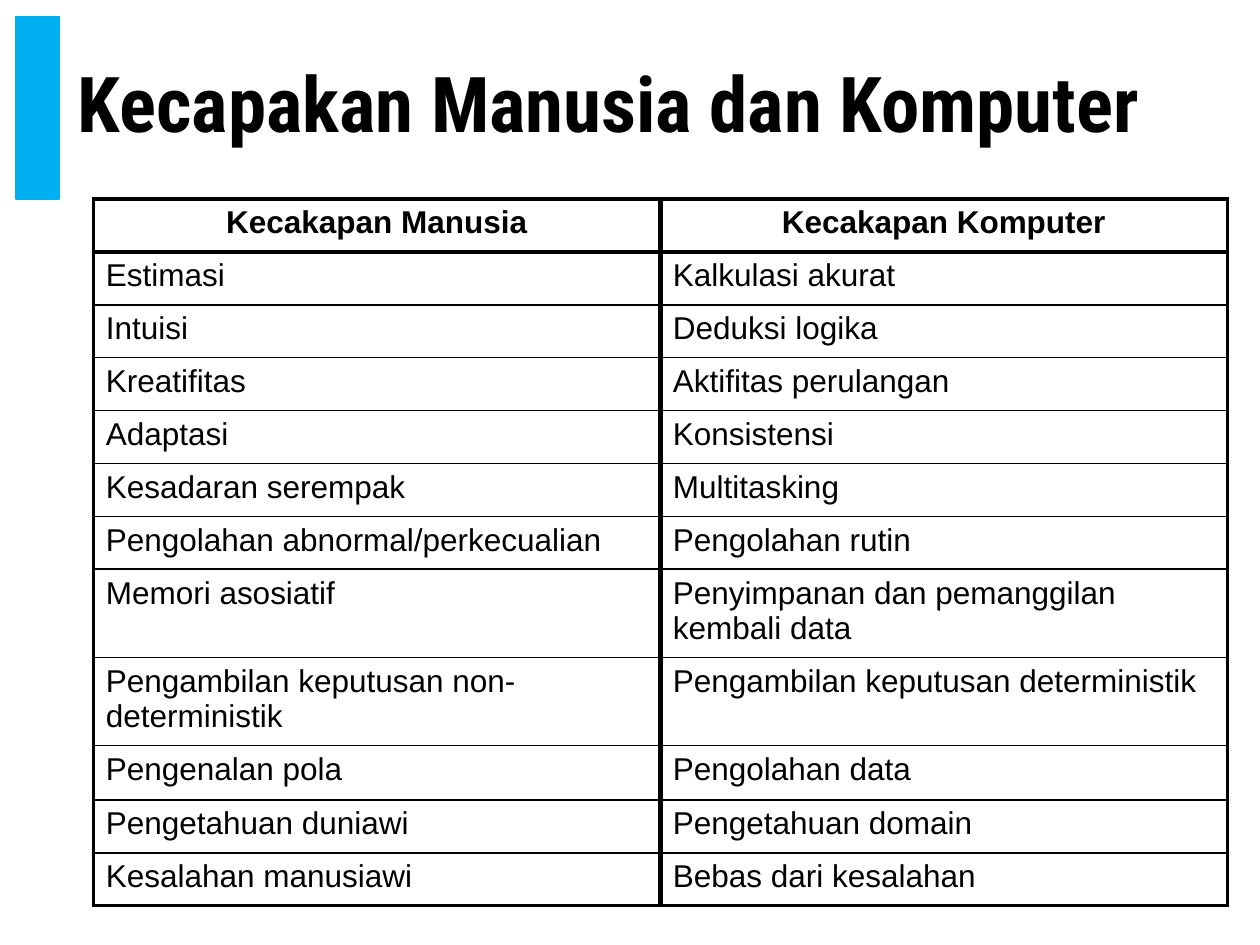
from lxml.etree import SubElement
from pptx import Presentation
from pptx.dml.color import RGBColor
from pptx.enum.shapes import MSO_SHAPE as Shape
from pptx.enum.text import MSO_ANCHOR as Anchor, PP_ALIGN as Align
from pptx.oxml.ns import qn
from pptx.util import Inches, Pt

COLORS = {"ink": "000000", "accent": "00B0F0"}
TITLE = {"name": "Roboto Condensed", "size": Pt(44), "bold": True}
HEADING = {"name": "Arial", "size": Pt(18), "bold": True}
BODY = {**HEADING, "bold": False}
OUTER, INNER, THIN = 2.25, 3, 1

SKILLS = [
    ("Kecakapan Manusia", "Kecakapan Komputer"),
    ("Estimasi", "Kalkulasi akurat"),
    ("Intuisi", "Deduksi logika"),
    ("Kreatifitas", "Aktifitas perulangan"),
    ("Adaptasi", "Konsistensi"),
    ("Kesadaran serempak", "Multitasking"),
    ("Pengolahan abnormal/perkecualian", "Pengolahan rutin"),
    ("Memori asosiatif", "Penyimpanan dan pemanggilan kembali data"),
    ("Pengambilan keputusan non-deterministik", "Pengambilan keputusan deterministik"),
    ("Pengenalan pola", "Pengolahan data"),
    ("Pengetahuan duniawi", "Pengetahuan domain"),
    ("Kesalahan manusiawi", "Bebas dari kesalahan"),
]
ROW_HEIGHTS = [0.42] * 7 + [0.7] * 2 + [0.43] + [0.42] * 2


class SlideBuilder:
    """Holds the colours and the current slide, and adds each kind of element."""

    def __init__(self, slide, colors):
        self.slide = slide
        self.colors = {key: RGBColor.from_string(value) for key, value in colors.items()}

    def add_text(self, paragraph, text, style):
        run = paragraph.add_run()
        run.text = text
        for attribute, value in style.items():
            setattr(run.font, attribute, value)
        run.font.color.rgb = self.colors["ink"]

    def bar(self, *box):
        accent = self.slide.shapes.add_shape(Shape.RECTANGLE, *map(Inches, box))
        accent.shadow.inherit = False
        accent.fill.solid()
        accent.fill.fore_color.rgb = accent.line.color.rgb = self.colors["accent"]
        accent.line.width = Pt(1)

    def title(self, text, *box):
        frame = self.slide.shapes.add_textbox(*map(Inches, box)).text_frame
        frame.word_wrap = True
        frame.vertical_anchor = Anchor.MIDDLE
        heading = frame.paragraphs[0]
        heading.line_spacing = 0.9
        self.add_text(heading, text, TITLE)

    def borders(self, cell, widths):
        properties = cell._tc.get_or_add_tcPr()
        for side, width in widths.items():
            line = SubElement(properties, qn(f"a:ln{side}"), w=str(Pt(width)))
            fill = SubElement(line, qn("a:solidFill"))
            SubElement(fill, qn("a:srgbClr"), val=str(self.colors["ink"]))

    def table(self, rows, heights, *box):
        last_row, last_column = len(rows) - 1, len(rows[0]) - 1
        grid = self.slide.shapes.add_table(len(rows), len(rows[0]), *map(Inches, box)).table
        grid.first_row = grid.horz_banding = False
        for r, (texts, height) in enumerate(zip(rows, heights)):
            grid.rows[r].height = Inches(height)
            for c, text in enumerate(texts):
                cell = grid.cell(r, c)
                self.borders(cell, {
                    "L": OUTER if c == 0 else INNER,
                    "R": OUTER if c == last_column else INNER,
                    "T": {0: OUTER, 1: INNER}.get(r, THIN),
                    "B": {0: INNER, last_row: OUTER}.get(r, THIN),
                })
                cell.fill.background()
                paragraph = cell.text_frame.paragraphs[0]
                paragraph.alignment = Align.LEFT if r else Align.CENTER
                spacing = SubElement(paragraph._p.get_or_add_pPr(), qn("a:spcBef"))
                SubElement(spacing, qn("a:spcPct"), val="20000")
                self.add_text(paragraph, text, BODY if r else HEADING)


def main():
    deck = Presentation()
    deck.slide_width, deck.slide_height = Inches(10), Inches(7.5)
    builder = SlideBuilder(deck.slides.add_slide(deck.slide_layouts[6]), COLORS)
    builder.bar(0.13, 0.13, 0.34, 1.45)
    builder.title("Kecapakan Manusia dan Komputer", 0.52, 0.13, 9.1, 1.45)
    builder.table(SKILLS, ROW_HEIGHTS, 0.74, 1.58, 9, sum(ROW_HEIGHTS))
    deck.save("out.pptx")


if __name__ == "__main__":
    main()
